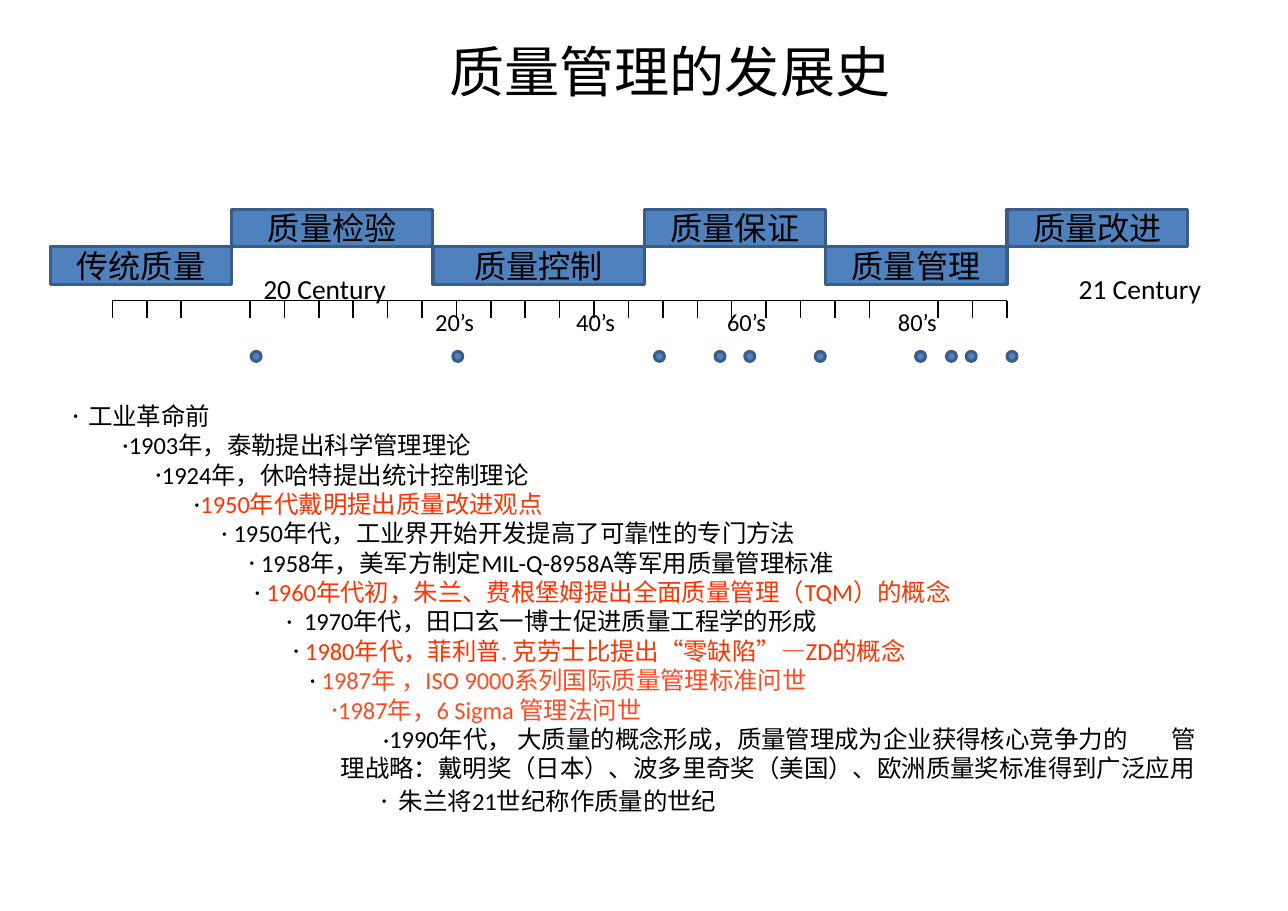
import pptx
import pptx.util
import pptx.dml.color
import pptx.enum.shapes
import pptx.enum.text
from lxml import etree
from pptx.util import Inches, Pt

COLORS = {"blue": "4F81BD", "edge": "385D8A", "black": "000000",
          "red": "FF3300", "coral": "FF4B21"}
FONT = "Calibri"
TITLE = "质量管理的发展史"
STAGES = ["传统质量", "质量检验", "质量控制", "质量保证", "质量管理", "质量改进"]
STAGE_EDGES = [0.46, 2.1, 3.93, 5.85, 7.49, 9.14, 10.78]
STAGE_TOPS = (2.24, 1.9)
STAGE_HEIGHT = 0.34

AXIS_LEFT, AXIS_RIGHT, AXIS_TOP, TICK_BOTTOM = 1.02, 9.14, 2.73, 2.89
TICK_STEPS, TICK_GAPS = 26, (3, 23)
CENTURIES = [("20 Century", 2.28), ("21 Century", 9.68)]
DECADES = [("20’s", 3.84), ("40’s", 5.12), ("60’s", 6.49), ("80’s", 8.04)]
EVENT_DOTS = [2.28, 4.11, 5.94, 6.49, 6.76, 7.4, 8.31, 8.59, 8.77, 9.14]

# bullet position, gap to the text, bullet colour, text colour, text
EVENTS = [
    (0, 0.14, "black", "black", "工业革命前"),
    (0.45, 0.06, "black", "black", "1903年，泰勒提出科学管理理论"),
    (0.75, 0.06, "black", "black", "1924年，休哈特提出统计控制理论"),
    (1.1, 0.06, "black", "red", "1950年代戴明提出质量改进观点"),
    (1.35, 0.11, "black", "black", "1950年代，工业界开始开发提高了可靠性的专门方法"),
    (1.6, 0.11, "black", "black", "1958年，美军方制定MIL-Q-8958A等军用质量管理标准"),
    (1.65, 0.11, "black", "red", "1960年代初，朱兰、费根堡姆提出全面质量管理（TQM）的概念"),
    (1.94, 0.16, "black", "black", "1970年代，田口玄一博士促进质量工程学的形成"),
    (2, 0.11, "black", "red", "1980年代，菲利普. 克劳士比提出“零缺陷”—ZD的概念"),
    (2.15, 0.11, "black", "coral", "1987年 ，ISO 9000系列国际质量管理标准问世"),
    (2.35, 0.06, "coral", "coral", "1987年，6 Sigma 管理法问世"),
]
BIG_QUALITY = ("·1990年代， 大质量的概念形成，质量管理成为企业获得核心竞争力", "的",
               "管理战略：戴明奖（日本）、波多里奇奖（美国）、欧洲质量奖标准得到广泛应用")
CENTURY_OF_QUALITY = (2.8, 0.16, "black", "black", "朱兰将21世纪称作质量的世纪")


def rgb(name):
    return pptx.dml.color.RGBColor.from_string(COLORS[name])


def add_run(paragraph, text, size, color="black", font=FONT):
    run = paragraph.add_run()
    run.text = text
    run.font.size = Pt(size)
    run.font.name = font
    run.font.color.rgb = rgb(color)
    return run


def set_frame(frame, anchor=pptx.enum.text.MSO_ANCHOR.TOP):
    frame.word_wrap = True
    frame.vertical_anchor = anchor
    frame.margin_left = frame.margin_right = Inches(0.11)
    frame.margin_top = frame.margin_bottom = Inches(0.06)
    return frame


def add_text_frame(left, top, width, height):
    box = slide.shapes.add_textbox(*map(Inches, (left, top, width, height)))
    return set_frame(box.text_frame)


def add_blue_shape(kind, left, top, width, height):
    shape = slide.shapes.add_shape(kind, *map(Inches, (left, top, width, height)))
    shape.shadow.inherit = False
    shape.fill.solid()
    shape.fill.fore_color.rgb = rgb("blue")
    shape.line.color.rgb = rgb("edge")
    shape.line.width = Pt(2)
    return shape


def add_line(x1, y1, x2, y2):
    line = slide.shapes.add_connector(pptx.enum.shapes.MSO_CONNECTOR.STRAIGHT,
                                      *map(Inches, (x1, y1, x2, y2)))
    line.line.color.rgb = rgb("black")
    line.line.width = Pt(1)
    properties = line._element.spPr
    etree.SubElement(properties, pptx.oxml.ns.qn("a:effectLst"))


def set_indent(paragraph, margin, first_line):
    properties = paragraph._p.get_or_add_pPr()
    properties.set("marL", str(Inches(margin)))
    properties.set("indent", str(Inches(first_line)))
    return properties


def add_event(paragraph, bullet_left, gap, bullet_color, color, text):
    properties = set_indent(paragraph, bullet_left + gap, -gap)
    qn = pptx.oxml.ns.qn
    bullet_fill = etree.SubElement(properties, qn("a:buClr"))
    etree.SubElement(bullet_fill, qn("a:srgbClr"), val=COLORS[bullet_color])
    etree.SubElement(properties, qn("a:buFont"), typeface=FONT)
    etree.SubElement(properties, qn("a:buChar"), char="·")
    add_run(paragraph, text, 16, color)


deck = pptx.Presentation()
deck.slide_width, deck.slide_height = Inches(11.69), Inches(8.27)
slide = deck.slides.add_slide(deck.slide_layouts[5])

title = slide.shapes.title
title.left, title.top, title.width, title.height = map(Inches, (2.38, 0.28, 7.4, 0.71))
heading = set_frame(title.text_frame).paragraphs[0]
heading.alignment = pptx.enum.text.PP_ALIGN.CENTER
add_run(heading, TITLE, 36, font="Noto Sans CJK SC")

for i, (stage, left, right) in enumerate(zip(STAGES, STAGE_EDGES, STAGE_EDGES[1:])):
    block = add_blue_shape(pptx.enum.shapes.MSO_SHAPE.RECTANGLE,
                           left, STAGE_TOPS[i % 2], right - left, STAGE_HEIGHT)
    label = set_frame(block.text_frame, pptx.enum.text.MSO_ANCHOR.MIDDLE).paragraphs[0]
    label.alignment = pptx.enum.text.PP_ALIGN.CENTER
    add_run(label, stage, 21)

add_line(AXIS_LEFT, AXIS_TOP, AXIS_RIGHT, AXIS_TOP)
for i in range(TICK_STEPS + 1):
    if i not in TICK_GAPS:
        x = AXIS_LEFT + i * (AXIS_RIGHT - AXIS_LEFT) / TICK_STEPS
        add_line(x, AXIS_TOP, x, TICK_BOTTOM)

for left in EVENT_DOTS:
    add_blue_shape(pptx.enum.shapes.MSO_SHAPE.OVAL, left, 3.19, 0.09, 0.09)

for century, left in CENTURIES:
    add_run(add_text_frame(left, 2.41, 1.46, 0.41).paragraphs[0], century, 18)
for decade, left in DECADES:
    add_run(add_text_frame(left, 2.73, 0.73, 0.38).paragraphs[0], decade, 16)

history = add_text_frame(0.55, 3.58, 10.41, 3.88)
for i, event in enumerate(EVENTS):
    add_event(history.add_paragraph() if i else history.paragraphs[0], *event)

big_quality = history.add_paragraph()
set_indent(big_quality, 2.35, 0.38)
big_quality.alignment = pptx.enum.text.PP_ALIGN.RIGHT
before, spaced, after = (add_run(big_quality, part, 16) for part in BIG_QUALITY)
spaced.font._element.set("spc", "2800")  # wide gap after this character

closing = history.add_paragraph()
add_event(closing, *CENTURY_OF_QUALITY)
closing.space_before = Pt(2)

deck.save("out.pptx")
